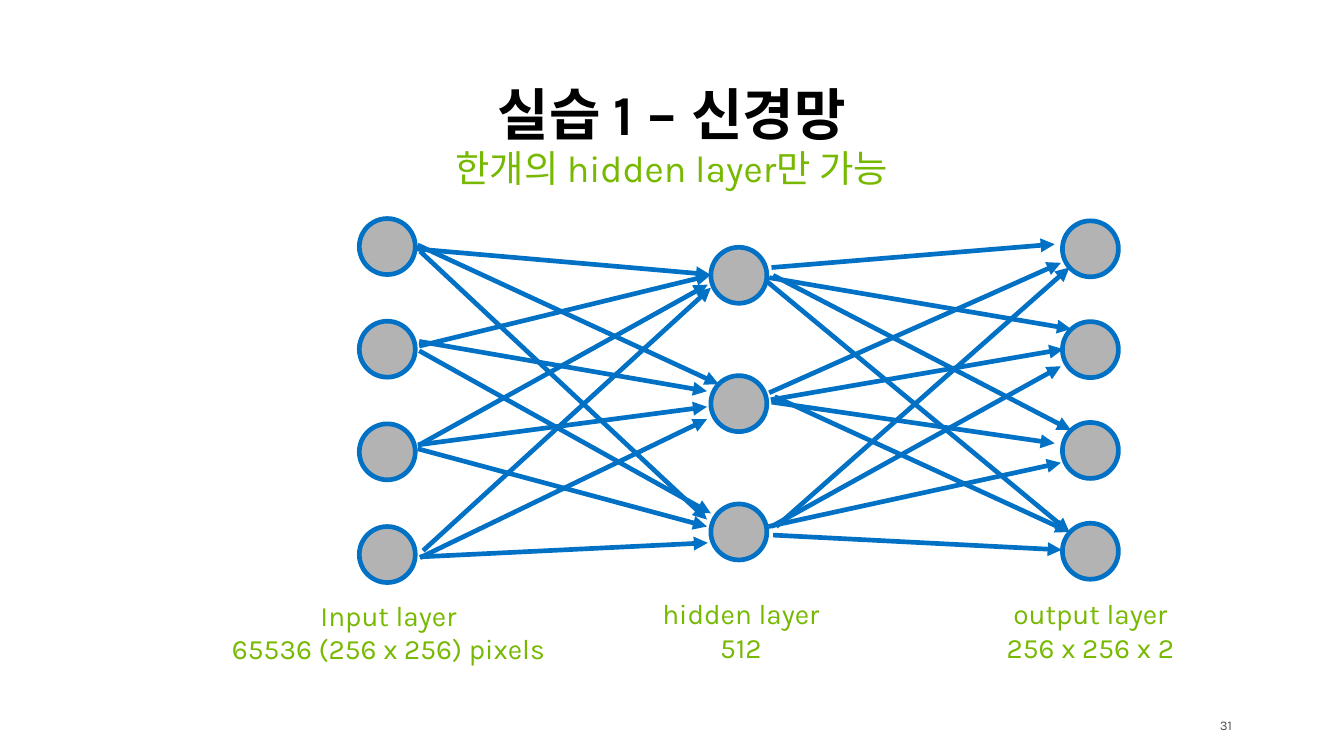
from pptx import Presentation
from pptx.dml.color import RGBColor
from pptx.enum.shapes import MSO_CONNECTOR as CONN, MSO_SHAPE as SHAPE
from pptx.enum.text import MSO_ANCHOR as ANCHOR, MSO_AUTO_SIZE as AUTO, PP_ALIGN as ALIGN
from pptx.oxml.ns import qn
from pptx.util import Pt
from lxml.etree import SubElement

COLORS = {"title": "000000", "label": "76B900", "node": "B3B3B3",
          "edge": "0071C5", "number": "505050"}


def rgb(name):
    return RGBColor.from_string(COLORS[name])


class Deck:
    font = "Karla"
    line_width = 3
    node_size = 36

    def __init__(self, width, height):
        self.prs = Presentation()
        self.prs.slide_width, self.prs.slide_height = Pt(width), Pt(height)
        self.s = self.prs.slides.add_slide(self.prs.slide_layouts[5])

    def set_text(self, sp, box, lines, size, color, bold=False, align=ALIGN.CENTER,
                 anchor=ANCHOR.TOP, spacing=None, margins=(7.2, 3.6)):
        sp.left, sp.top, sp.width, sp.height = map(Pt, box)
        tf = sp.text_frame
        tf.word_wrap, tf.auto_size = True, AUTO.NONE
        tf.vertical_anchor = anchor
        tf.margin_left = tf.margin_right = Pt(margins[0])
        tf.margin_top = tf.margin_bottom = Pt(margins[1])
        tf.text = "\n".join(lines)
        for p in tf.paragraphs:
            p.alignment = align
            p.line_spacing = spacing
            p.font.name, p.font.size, p.font.bold = self.font, Pt(size), bold
            p.font.color.rgb = rgb(color)

    def title(self, box, text, size):
        self.set_text(self.s.shapes.title, box, [text], size, "title", bold=True,
                      anchor=ANCHOR.BOTTOM, spacing=0.9)

    def text(self, box, lines, size, color="label", **style):
        sp = self.s.shapes.add_textbox(*map(Pt, box))
        self.set_text(sp, box, lines, size, color, **style)

    def node(self, x, y):
        d = Pt(self.node_size)
        sp = self.s.shapes.add_shape(SHAPE.FLOWCHART_CONNECTOR, Pt(x), Pt(y), d, d)
        sp.shadow.inherit = False
        sp.fill.solid()
        sp.fill.fore_color.rgb = rgb("node")
        sp.line.color.rgb = rgb("edge")
        sp.line.width = Pt(self.line_width)

    def arrow(self, x1, y1, x2, y2):
        c = self.s.shapes.add_connector(CONN.STRAIGHT, *map(Pt, (x1, y1, x2, y2)))
        c.line.color.rgb = rgb("edge")
        c.line.width = Pt(self.line_width)
        props = c._element.spPr
        SubElement(props.find(qn("a:ln")), qn("a:tailEnd"), type="triangle")
        SubElement(props, qn("a:effectLst"))


# Layers: left, first top, step, node count
LAYERS = [(231, 140.5, 66, 4), (457, 159, 82.5, 3), (683, 142, 64.8, 4)]

# Arrows, one row per source node: x1, y1, x2, y2
INPUT_TO_HIDDEN = [
    [(267, 160, 456.5, 176.5), (268.5, 157.5, 462, 247), (270, 161.5, 454.5, 334)],
    [(269.5, 222.5, 456.5, 177), (269.5, 219.5, 454.5, 251.5), (269.5, 225.5, 457, 330)],
    [(269.5, 286, 455, 183), (268.5, 286, 454.5, 261.5), (268.5, 288.5, 454.5, 338.5)],
    [(272, 354, 457, 185), (270, 358.5, 454.5, 269.5), (270, 358, 455, 349)],
]
HIDDEN_TO_OUTPUT = [
    [(496, 172, 678, 157), (494.5, 178.5, 688.5, 211.5),
     (497, 177, 688.5, 276.5), (492.5, 180.5, 687.5, 342)],
    [(494.5, 252.5, 682, 169), (495.5, 257, 683.5, 224.5),
     (496, 258.5, 678, 285), (498, 255, 687.5, 342)],
    [(499, 338.5, 687.5, 172), (496, 338.5, 682, 235.5),
     (494, 338.5, 682, 297.5), (497, 344, 682.5, 353.5)],
]

LABELS = [
    ((141, 381, 217.5, 51), ["Input layer", "65536 (256 x 256) pixels"]),
    ((416, 380, 120.5, 51), ["hidden layer", "512"]),
    ((637, 380, 128, 73), ["output layer 256 x 256 x 2"]),
]


def main():
    deck = Deck(864, 486)

    # Headings
    deck.title((39, 52, 785.5, 46.5), "실습 1 – 신경망", 36)
    deck.text((39, 93, 785.5, 41), ["한개의 hidden layer만 가능"], 24, spacing=0.9)

    # Nodes
    for left, top, step, count in LAYERS:
        for i in range(count):
            deck.node(left, top + i * step)

    # Connections
    for row in INPUT_TO_HIDDEN + HIDDEN_TO_OUTPUT:
        for ends in row:
            deck.arrow(*ends)

    # Layer labels
    for box, lines in LABELS:
        deck.text(box, lines, 18)

    # Slide number
    deck.text((769, 459.5, 23, 13), ["31"], 8.5, "number", align=ALIGN.RIGHT,
              anchor=ANCHOR.MIDDLE, margins=(0, 0))

    deck.prs.save("out.pptx")


if __name__ == "__main__":
    main()
